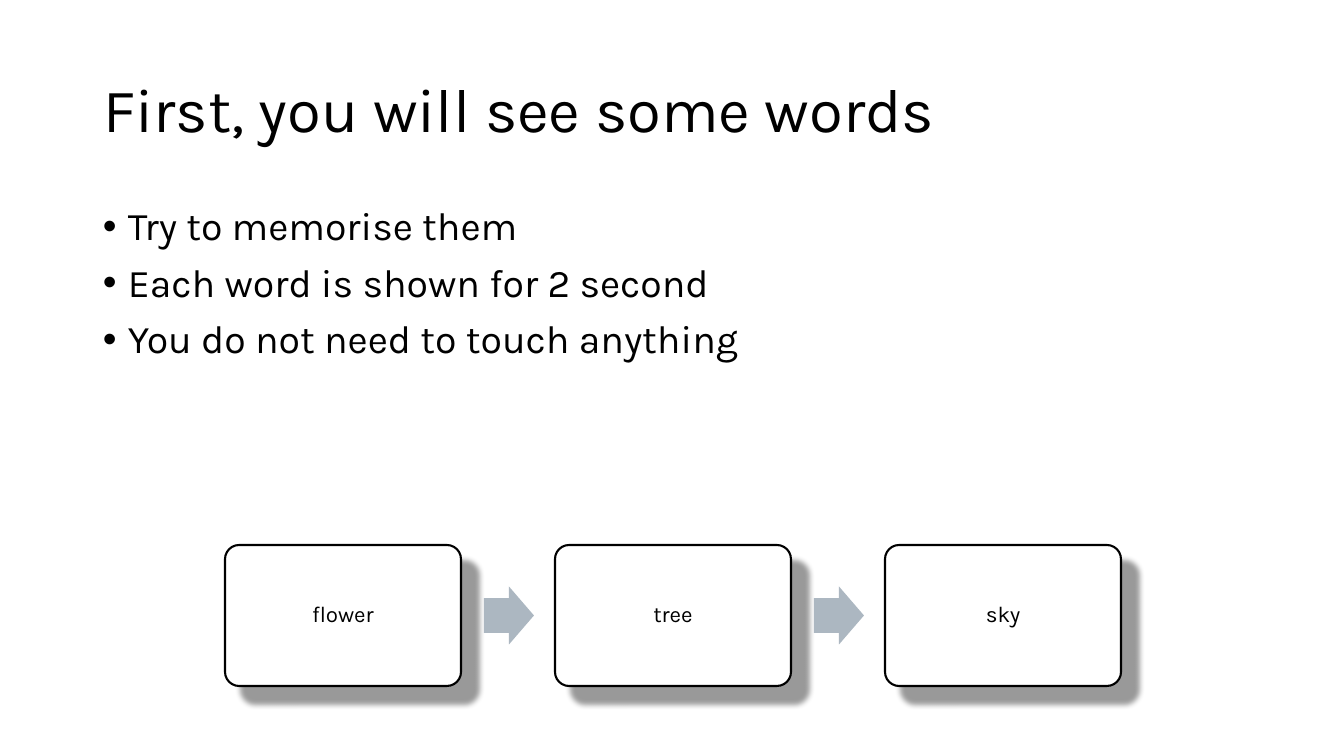
import pptx
import pptx.dml.color
import pptx.enum.shapes
import pptx.enum.text
import pptx.oxml
import pptx.oxml.ns
import pptx.util

TITLE = "First, you will see some words"
INSTRUCTIONS = [
    "Try to memorise them",
    "Each word is shown for 2 second",
    "You do not need to touch anything",
]
WORDS = ["flower", "tree", "sky"]

FONT = "Karla"
BLACK, WHITE, ARROW_GREY = "000000", "FFFFFF", "ACB7C1"
SLIDE_WIDTH, SLIDE_HEIGHT = 1344, 756
TITLE_AREA = (93, 40, 1159, 146)
INSTRUCTIONS_AREA = (93, 202, 1159, 480)
CARD_LEFT, CARD_TOP, CARD_WIDTH, CARD_HEIGHT = 225, 545, 236, 141
CARD_STEP = 330
CARD_INSET = 11
ARROW_GAP, ARROW_WIDTH, ARROW_HEIGHT = 23, 50, 58
BULLET_INDENT = 25

SHAPES = pptx.enum.shapes.MSO_SHAPE
ALIGN = pptx.enum.text.PP_ALIGN
ANCHOR = pptx.enum.text.MSO_ANCHOR


def px(length):
    return round(length * 914400 / 100.8)


def color(value):
    return pptx.dml.color.RGBColor.from_string(value)


def write(frame, lines, size, align, anchor, space_before=0):
    frame.text = "\n".join(lines)
    frame.word_wrap = True
    frame.auto_size = pptx.enum.text.MSO_AUTO_SIZE.NONE
    frame.vertical_anchor = anchor
    for paragraph in frame.paragraphs:
        paragraph.alignment = align
        paragraph.line_spacing = 0.9
        paragraph.space_before = pptx.util.Pt(space_before)
        for run in paragraph.runs:
            run.font.name = FONT
            run.font.size = pptx.util.Pt(size)
            run.font.color.rgb = color(BLACK)


def add_bullet(paragraph):
    properties = paragraph._p.get_or_add_pPr()
    properties.set("marL", str(px(BULLET_INDENT)))
    properties.set("indent", str(-px(BULLET_INDENT)))
    namespace = pptx.oxml.ns.nsdecls("a")
    properties.append(pptx.oxml.parse_xml(f'<a:buFont {namespace} typeface="Arial"/>'))
    properties.append(pptx.oxml.parse_xml(f'<a:buChar {namespace} char="•"/>'))


def add_block(slide, kind, area, fill, adjustments):
    block = slide.shapes.add_shape(kind, *map(px, area))
    for index, value in enumerate(adjustments):
        block.adjustments[index] = value
    block.fill.solid()
    block.fill.fore_color.rgb = color(fill)
    block.line.fill.background()
    block.shadow.inherit = False
    return block


def add_card(slide, left, word):
    area = (left, CARD_TOP, CARD_WIDTH, CARD_HEIGHT)
    card = add_block(slide, SHAPES.ROUNDED_RECTANGLE, area, WHITE, [0.1])
    card.line.color.rgb = color(BLACK)
    card.line.width = pptx.util.Pt(1.5)
    effects = card._element.spPr.find(pptx.oxml.ns.qn("a:effectLst"))
    effects.append(pptx.oxml.parse_xml(
        f'<a:outerShdw {pptx.oxml.ns.nsdecls("a")} blurRad="{pptx.util.Pt(4)}" '
        f'dist="{pptx.util.Pt(16.8)}" dir="2700000" algn="tl" rotWithShape="0">'
        f'<a:srgbClr val="{BLACK}"><a:alpha val="40000"/></a:srgbClr></a:outerShdw>'))
    frame = card.text_frame
    frame.margin_left = frame.margin_right = px(CARD_INSET)
    frame.margin_top = frame.margin_bottom = px(CARD_INSET)
    write(frame, [word], 16, ALIGN.CENTER, ANCHOR.MIDDLE)


def main():
    deck = pptx.Presentation()
    deck.slide_width, deck.slide_height = px(SLIDE_WIDTH), px(SLIDE_HEIGHT)
    slide = deck.slides.add_slide(deck.slide_layouts[5])

    title = slide.shapes.title
    title.left, title.top, title.width, title.height = map(px, TITLE_AREA)
    write(title.text_frame, [TITLE], 44, ALIGN.LEFT, ANCHOR.MIDDLE)

    instructions = slide.shapes.add_textbox(*map(px, INSTRUCTIONS_AREA)).text_frame
    write(instructions, INSTRUCTIONS, 28, ALIGN.LEFT, ANCHOR.TOP, space_before=10)
    for paragraph in instructions.paragraphs:
        add_bullet(paragraph)

    arrow_top = CARD_TOP + (CARD_HEIGHT - ARROW_HEIGHT) / 2
    for index, word in enumerate(WORDS):
        left = CARD_LEFT + index * CARD_STEP
        add_card(slide, left, word)
        if index < len(WORDS) - 1:
            arrow_left = left + CARD_WIDTH + ARROW_GAP
            area = (arrow_left, arrow_top, ARROW_WIDTH, ARROW_HEIGHT)
            add_block(slide, SHAPES.RIGHT_ARROW, area, ARROW_GREY, [0.6, 0.5])

    deck.save("out.pptx")


if __name__ == "__main__":
    main()
